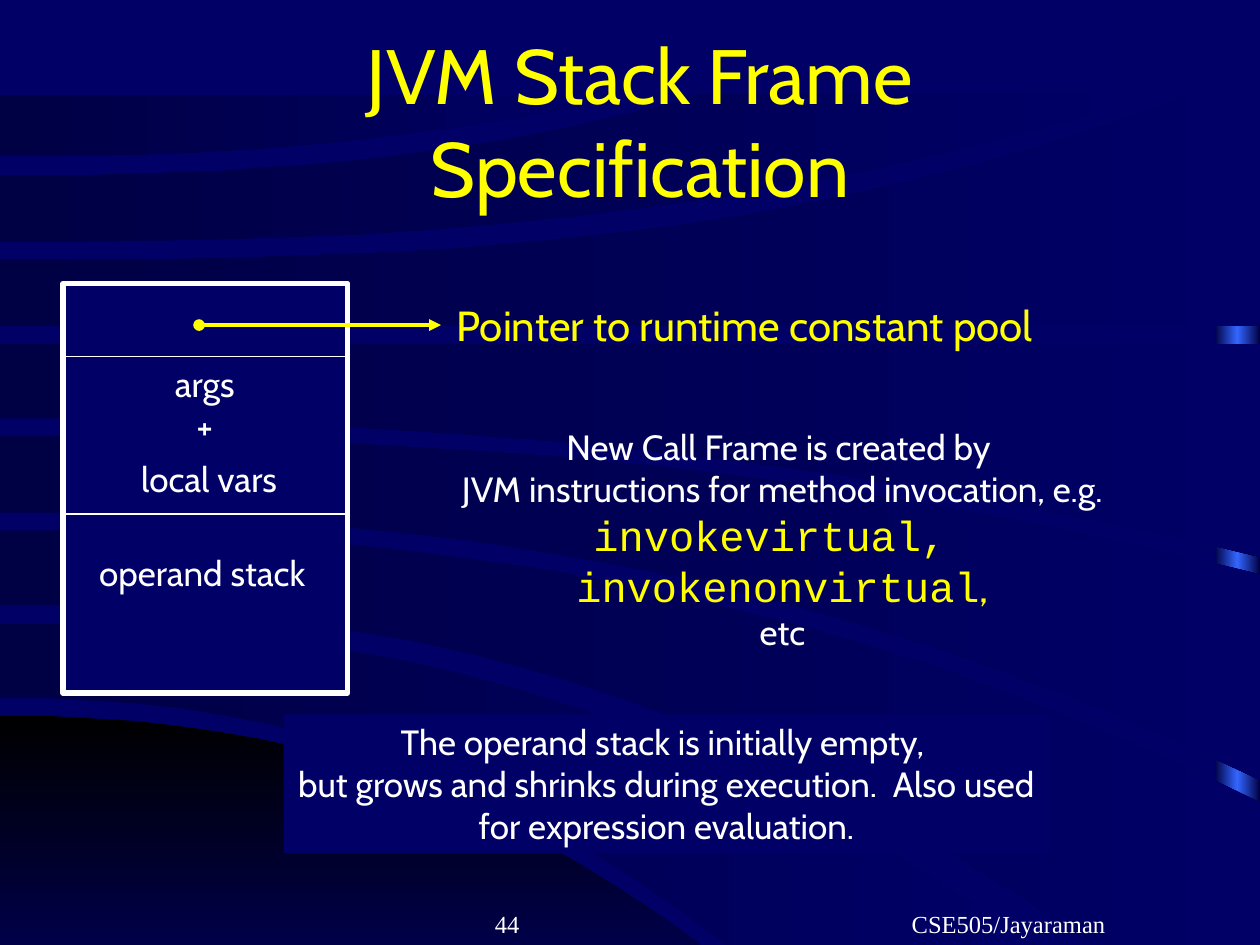
"""Build the slide on the JVM stack frame."""
from copy import deepcopy
from lxml.etree import SubElement
from pptx import Presentation
from pptx.dml.color import RGBColor
from pptx.enum.shapes import MSO_CONNECTOR, MSO_SHAPE
from pptx.enum.text import MSO_ANCHOR, PP_ALIGN
from pptx.oxml.ns import qn
from pptx.util import Pt

PX = 9144
NAVY, DARK, WHITE, GOLD = "000066", "000044", "FFFFFF", "FFFF00"


def paint(fill, *tones, angle=0):
    if len(tones) == 1:
        fill.solid()
        fill.fore_color.rgb = RGBColor.from_string(tones[0])
        return
    fill.gradient()
    fill.gradient_angle = angle
    for stop, tone in zip(fill.gradient_stops, tones):
        stop.color.rgb = RGBColor.from_string(tone)


def write(frame, text, size=20, face="Cabin", tone=WHITE,
          align=PP_ALIGN.CENTER, join=False):
    para = frame.paragraphs[-1]
    if para.runs and not join:
        para = frame.add_paragraph()
    para.alignment = align
    for row, line in enumerate(text.split("\n")):
        if row:
            para.add_line_break()
        run = para.add_run()
        run.text = line
        run.font.size = Pt(size)
        run.font.name = face
        paint(run.font.fill, tone)


deck = Presentation()
deck.slide_width, deck.slide_height = 1000 * PX, 750 * PX
slide = deck.slides.add_slide(deck.slide_layouts[6])
paint(slide.background.fill, NAVY)
shapes = slide.shapes

strip = shapes.add_shape(
    MSO_SHAPE.RECTANGLE, 964 * PX, 77 * PX, 36 * PX, 673 * PX)
strip.shadow.inherit = False
strip.line.fill.background()
paint(strip.fill, DARK, DARK)
first = strip._element.spPr.find(".//" + qn("a:gs"))
first.addnext(deepcopy(first))
middle = strip.fill.gradient_stops[1]
middle.position = 0.5
middle.color.rgb = RGBColor.from_string("3366FF")

STEPS = 16
waves = [
    ((568, 556, 750), (750, 556, 750), 2.3, ("000000", "000048"), 270),
    ((495, 820, 750), (554, 577, 750), 2.3, (DARK, NAVY), 0),
    ((421, 1000, 637), (480, 867, 750), 2.3, (DARK, NAVY), 0),
    ((346, 1000, 456), (407, 1000, 619), 2.3, (DARK, NAVY), 0),
    ((273, 1000, 273), (332, 1000, 442), 2.2, (DARK, NAVY), 0),
    ((206, 944, 75), (259, 1000, 259), 2.8, (DARK, NAVY), 0),
    ((139, 557, 75), (192, 918, 75), 2.5, (DARK, NAVY), 0),
    ((75, 502, 75), (124, 502, 75), 2.3, (DARK, NAVY), 0),
]
for upper, lower, bend, tones, angle in waves:
    roof, floor = [
        [(round(reach * i / STEPS),
          round(start + (end - start) * (i / STEPS) ** bend))
         for i in range(STEPS + 1)]
        for start, reach, end in (upper, lower)]
    tips = roof[-1], floor[-1]
    corner = max(tips)[0], min(tips)[1]
    pen = shapes.build_freeform(*roof[0], scale=PX)
    pen.add_line_segments(roof[1:] + [corner] + floor[::-1], close=True)
    wave = pen.convert_to_shape()
    wave.shadow.inherit = False
    wave.line.fill.background()
    paint(wave.fill, *tones, angle=angle)

stack = shapes.add_shape(
    MSO_SHAPE.RECTANGLE, 50 * PX, 225 * PX, 226 * PX, 325 * PX)
stack.shadow.inherit = False
paint(stack.fill, NAVY)
paint(stack.line.fill, WHITE)
stack.line.width = Pt(3)

lines = [(158, 350, 258, GOLD, 2.25),
         (50, 275, 283, WHITE, 0.75),
         (50, 275, 408, WHITE, 0.75)]
for left, right, y, tone, width in lines:
    line = shapes.add_connector(
        MSO_CONNECTOR.STRAIGHT, left * PX, y * PX, right * PX, y * PX)
    paint(line.line.fill, tone)
    line.line.width = Pt(width)
    props = line._element.spPr
    if tone == GOLD:
        stroke = props.find(qn("a:ln"))
        SubElement(stroke, qn("a:headEnd"), type="oval")
        SubElement(stroke, qn("a:tailEnd"), type="triangle")
    SubElement(props, qn("a:effectLst"))

mono = dict(size=24, face="Courier New", tone=GOLD)
foot = dict(size=14, face="Times New Roman")
top, mid, low = MSO_ANCHOR.TOP, MSO_ANCHOR.MIDDLE, MSO_ANCHOR.BOTTOM
texts = [
    ((83, 33, 850, 125), mid,
     [("JVM Stack Frame\nSpecification", dict(size=44, tone=GOLD))]),
    ((325, 233, 532, 50), top,
     [("Pointer to runtime constant pool", dict(size=24, tone=GOLD))]),
    ((124, 283, 77, 77), top, [("args\n+", {})]),
    ((95, 358, 142, 44), top, [("local vars", {})]),
    ((58, 433, 205, 44), top, [("operand stack", {})]),
    ((325, 333, 592, 190), top,
     [("New Call Frame is created by ", {}),
      ("JVM instructions for method invocation, e.g. ", {}),
      ("invokevirtual, ", dict(mono, join=True)),
      ("invokenonvirtual", mono),
      (",", dict(size=24, tone=GOLD, join=True)),
      ("etc", {})]),
    ((225, 567, 608, 110), top,
     [("The operand stack is initially empty, ", {}),
      ("but grows and shrinks during execution.  Also used "
       "for expression evaluation.", {})]),
    ((383, 700, 208, 50), low, [("44", dict(foot, align=PP_ALIGN.LEFT))]),
    ((642, 700, 317, 50), low, [("CSE505/Jayaraman", foot)]),
]
for place, anchor, runs in texts:
    box = shapes.add_textbox(*[n * PX for n in place])
    if runs[0][0].startswith("The operand"):
        paint(box.fill, NAVY)
    frame = box.text_frame
    frame.word_wrap = True
    frame.vertical_anchor = anchor
    for text, form in runs:
        write(frame, text, **form)

deck.save("out.pptx")
